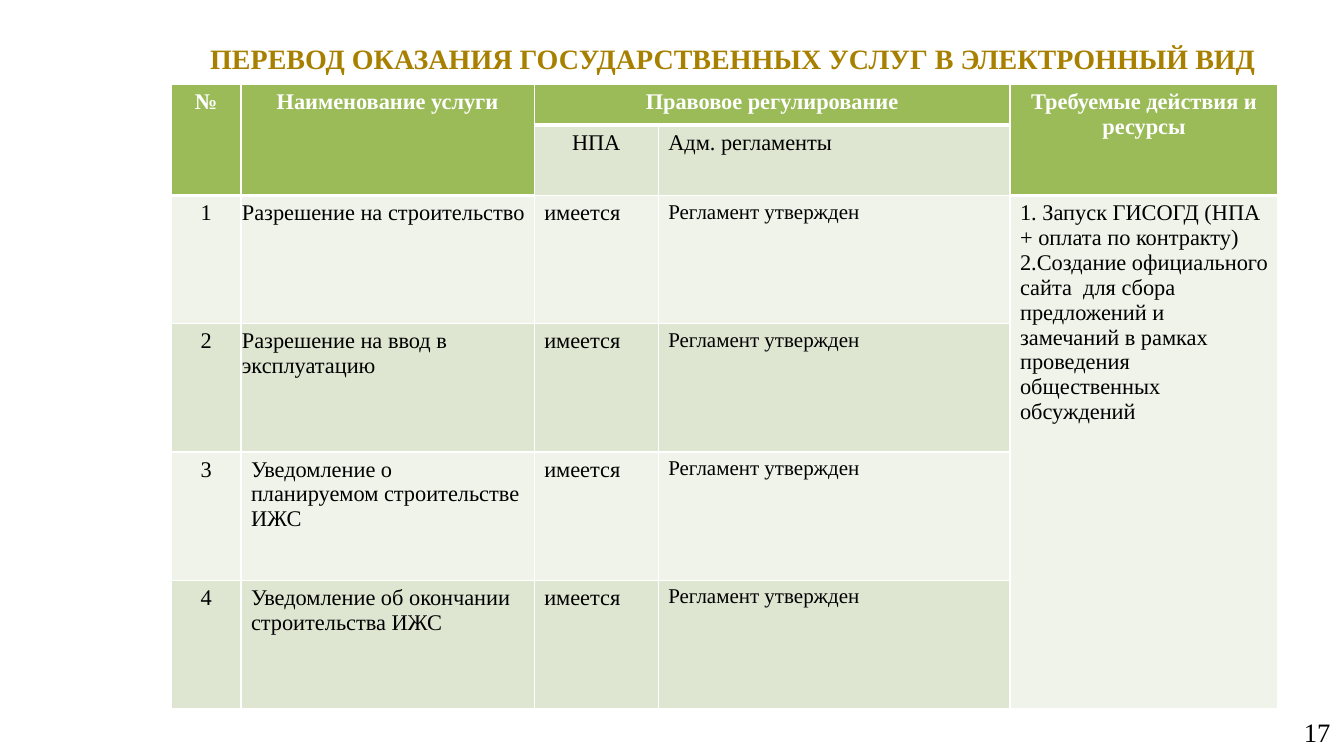
from lxml import etree
from pptx import Presentation
from pptx import util as u
from pptx.dml.color import RGBColor
from pptx.enum import text
from pptx.oxml import ns

# Content
TITLE = "ПЕРЕВОД ОКАЗАНИЯ ГОСУДАРСТВЕННЫХ УСЛУГ В ЭЛЕКТРОННЫЙ ВИД"
PAGE_NUMBER = "17"
HEADINGS = ["№", "Наименование услуги", "Правовое регулирование", "",
            "Требуемые действия и ресурсы"]
SUBHEADINGS = ["", "", "НПА", "Адм. регламенты", ""]
SERVICES = ["Разрешение на строительство",
            "Разрешение на ввод в эксплуатацию",
            "Уведомление о планируемом строительстве ИЖС",
            "Уведомление об окончании строительства ИЖС"]
LEGAL_ACT, REGULATION = "имеется", "Регламент утвержден"
ACTIONS = ("1. Запуск ГИСОГД (НПА + оплата по контракту)\n"
           "2.Создание официального сайта  для сбора предложений и замечаний "
           "в рамках проведения общественных обсуждений")

THEME = {
    "font": "Times New Roman",
    "title": "A88000", "header": "9BBB59", "dark_band": "DEE6D1",
    "light_band": "EFF3E9", "white": "FFFFFF", "black": "000000",
    "title_size": 20, "page_size": 19, "cell_size": 16, "regulation_size": 15,
    "thin": 0.96, "thick": 3,
}

# Layout, in points: left, top, width, height
SLIDE_SIZE = (960, 540)
TITLE_BOX = (111.6, 5.8, 823.7, 71.3)
PAGE_BOX = (735.8, 509, 223.9, 28.1)
TABLE_ORIGIN = (122.4, 60.5)
COLUMN_WIDTHS = [49.7, 209.5, 88.6, 251.3, 191.5]
ROW_HEIGHTS = [28.8, 50.4] + [91.6] * len(SERVICES)
MERGES = [((0, 0), (1, 0)), ((0, 1), (1, 1)), ((0, 2), (0, 3)),
          ((0, 4), (1, 4)), ((2, 4), (5, 4))]
NUMBER, SERVICE, ACT, REGULATIONS, ACTION = range(5)


def format_text(frame, size, color, bold=False, align=text.PP_ALIGN.LEFT):
    for paragraph in frame.paragraphs:
        paragraph.alignment = align
        for run in paragraph.runs:
            run.font.name = THEME["font"]
            run.font.size = u.Pt(size)
            run.font.bold = bold
            run.font.color.rgb = RGBColor.from_string(THEME[color])


def fill_box(shape, words, box, **style):
    shape.left, shape.top, shape.width, shape.height = map(u.Pt, box)
    frame = shape.text_frame
    frame.text = words
    frame.word_wrap = True
    frame.auto_size = text.MSO_AUTO_SIZE.NONE
    frame.vertical_anchor = text.MSO_ANCHOR.MIDDLE
    frame.margin_left = frame.margin_right = u.Pt(9.4)
    frame.margin_top = frame.margin_bottom = u.Pt(5)
    format_text(frame, **style)


def set_borders(cell, top, bottom):
    properties = cell._tc.get_or_add_tcPr()
    widths = {"lnL": THEME["thin"], "lnR": THEME["thin"], "lnT": top, "lnB": bottom}
    for position, (side, width) in enumerate(widths.items()):
        line = etree.Element(ns.qn(f"a:{side}"), w=str(int(u.Pt(width))))
        fill = etree.SubElement(line, ns.qn("a:solidFill"))
        etree.SubElement(fill, ns.qn("a:srgbClr"), val=THEME["white"])
        properties.insert(position, line)


def is_header(row, column):
    return row == 0 or (row == 1 and column not in (ACT, REGULATIONS))


def format_cell(cell, row, column, words):
    header = is_header(row, column)
    centered = header or column == NUMBER or (row == 1 and column == ACT)
    small = row > 1 and column == REGULATIONS
    if header:
        fill = "header"
    elif column == ACTION or row in (2, 4):
        fill = "light_band"
    else:
        fill = "dark_band"
    cell.fill.solid()
    cell.fill.fore_color.rgb = RGBColor.from_string(THEME[fill])
    below_header = not header and is_header(row - 1, column)
    set_borders(cell, THEME["thick" if below_header else "thin"],
                THEME["thick" if header else "thin"])
    if column == SERVICE and row in (2, 3):
        cell.margin_left = cell.margin_right = u.Pt(0.7)
    if words:
        cell.text_frame.text = words
        format_text(cell.text_frame,
                    THEME["regulation_size" if small else "cell_size"],
                    "white" if header else "black", bold=header,
                    align=text.PP_ALIGN.CENTER if centered else text.PP_ALIGN.LEFT)


def add_services_table(slide):
    rows = [HEADINGS, SUBHEADINGS]
    for number, service in enumerate(SERVICES, 1):
        rows.append([str(number), service, LEGAL_ACT, REGULATION,
                     ACTIONS if number == 1 else ""])
    size = (sum(COLUMN_WIDTHS), sum(ROW_HEIGHTS))
    table = slide.shapes.add_table(len(rows), len(COLUMN_WIDTHS),
                                   *map(u.Pt, TABLE_ORIGIN + size)).table
    table.first_row = table.horz_banding = False
    for column, width in zip(table.columns, COLUMN_WIDTHS):
        column.width = u.Pt(width)
    for row, height in zip(table.rows, ROW_HEIGHTS):
        row.height = u.Pt(height)
    for first, last in MERGES:
        table.cell(*first).merge(table.cell(*last))
    for row, entries in enumerate(rows):
        for column, words in enumerate(entries):
            format_cell(table.cell(row, column), row, column, words)


def main():
    presentation = Presentation()
    presentation.slide_width, presentation.slide_height = map(u.Pt, SLIDE_SIZE)
    slide = presentation.slides.add_slide(presentation.slide_layouts[5])

    # Page number
    page_box = slide.shapes.add_textbox(*map(u.Pt, PAGE_BOX))
    fill_box(page_box, PAGE_NUMBER, PAGE_BOX, size=THEME["page_size"],
             color="black", align=text.PP_ALIGN.RIGHT)

    # Title
    fill_box(slide.shapes.title, TITLE, TITLE_BOX, size=THEME["title_size"],
             color="title", bold=True, align=text.PP_ALIGN.CENTER)

    # Table of services
    add_services_table(slide)
    presentation.save("out.pptx")


if __name__ == "__main__":
    main()
